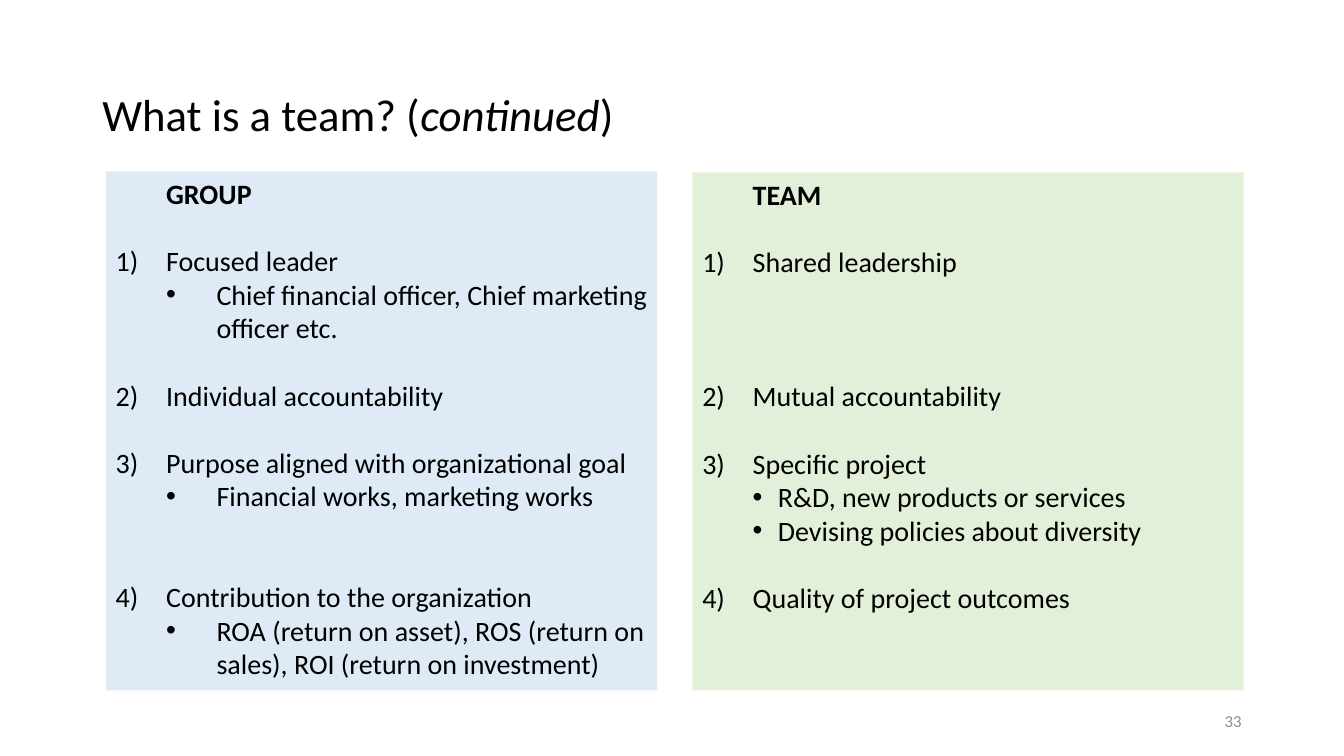
from lxml.etree import SubElement
from pptx import Presentation
from pptx.dml.color import RGBColor
from pptx.enum.shapes import MSO_SHAPE as Shape
from pptx.enum.text import MSO_ANCHOR as Anchor, PP_ALIGN as Align
from pptx.oxml.ns import qn
from pptx.util import Pt

COLORS = {"ink": "000000", "muted": "8C8C8C", "group": "DEEBF7", "team": "E2F0D9"}
BLANK_LINE = 24

# Each entry: kind, text, blank lines above it
GROUP = [
    ("heading", "GROUP", 0),
    ("number", "Focused leader", 1),
    ("bullet", "Chief financial officer, Chief marketing officer etc.", 0),
    ("number", "Individual accountability", 1),
    ("number", "Purpose aligned with organizational goal", 1),
    ("bullet", "Financial works, marketing works", 0),
    ("number", "Contribution to the organization", 2),
    ("bullet", "ROA (return on asset), ROS (return on sales), ROI (return on investment)", 0),
]
TEAM = [
    ("heading", "TEAM", 0),
    ("number", "Shared leadership", 1),
    ("number", "Mutual accountability", 3),
    ("number", "Specific project", 1),
    ("bullet", "R&D, new products or services", 0),
    ("bullet", "Devising policies about diversity", 0),
    ("number", "Quality of project outcomes", 1),
]


class SlideBuilder:
    def __init__(self, page, font="Calibri"):
        self.page = page
        self.font = font

    def style(self, span, size, color="ink", bold=False, italic=False):
        span.font.name = self.font
        span.font.size = Pt(size)
        span.font.bold = bold
        span.font.italic = italic
        span.font.color.rgb = RGBColor.from_string(COLORS[color])

    def text(self, left, top, width, height, parts, size, color="ink", align=Align.LEFT):
        """Add one line made of (text, italic) parts, centred vertically."""
        box = self.page.shapes.add_textbox(Pt(left), Pt(top), Pt(width), Pt(height))
        frame = box.text_frame
        frame.word_wrap = True
        frame.vertical_anchor = Anchor.MIDDLE
        para = frame.paragraphs[0]
        para.alignment = align
        for words, italic in parts:
            span = para.add_run()
            span.text = words
            self.style(span, size, color, italic=italic)

    def indent(self, para, kind, bullet_hang):
        """Set the left margin, the hanging indent and the list mark."""
        margin, hang = {"heading": (36, 0), "number": (36, 36),
                        "bullet": (36 + bullet_hang, bullet_hang)}[kind]
        props = para._p.get_or_add_pPr()
        props.set("marL", str(Pt(margin)))
        props.set("indent", str(Pt(-hang)))
        if kind == "number":
            SubElement(props, qn("a:buFont"), typeface="+mj-lt")
            SubElement(props, qn("a:buAutoNum"), type="arabicParenR")
        elif kind == "bullet":
            para.level = 1
            SubElement(props, qn("a:buFont"), typeface="Arial")
            SubElement(props, qn("a:buChar"), char="•")

    def panel(self, left, top, width, height, fill, entries, bullet_hang):
        box = self.page.shapes.add_shape(
            Shape.RECTANGLE, Pt(left), Pt(top), Pt(width), Pt(height))
        box.shadow.inherit = False
        box.fill.solid()
        box.fill.fore_color.rgb = RGBColor.from_string(COLORS[fill])
        box.line.fill.background()
        frame = box.text_frame
        frame.word_wrap = True
        frame.vertical_anchor = Anchor.TOP
        frame.text = "\n".join(words for _, words, _ in entries)
        for para, (kind, _, blanks) in zip(frame.paragraphs, entries):
            para.alignment = Align.LEFT
            para.space_before = Pt(blanks * BLANK_LINE)
            self.indent(para, kind, bullet_hang)
            self.style(para.runs[0], 20, bold=kind == "heading")


def main():
    deck = Presentation()
    deck.slide_width, deck.slide_height = Pt(960), Pt(540)
    builder = SlideBuilder(deck.slides.add_slide(deck.slide_layouts[6]))
    builder.text(66, 28.75, 828, 104.4,
                 [("What is a team? (", False), ("continued", True), (")", False)], 32)
    builder.text(678, 500.5, 216, 28.75, [("33", False)], 12, "muted", Align.RIGHT)
    builder.panel(494.6, 123.1, 393.8, 370.1, "team", TEAM, bullet_hang=18)
    builder.panel(75.6, 122.4, 393.8, 370.8, "group", GROUP, bullet_hang=36)
    deck.save("out.pptx")


if __name__ == "__main__":
    main()
